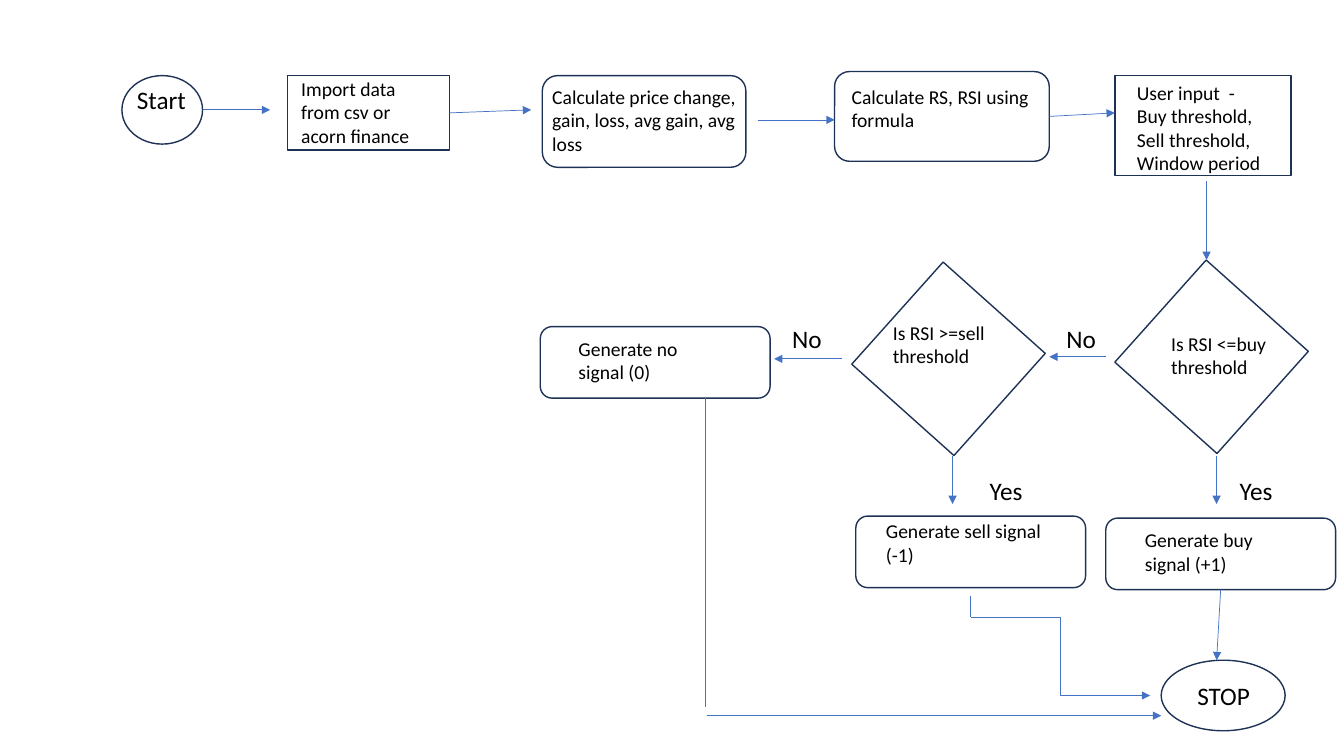
from dataclasses import dataclass

from lxml import etree
from pptx import Presentation
from pptx import util as u
from pptx.dml.color import RGBColor
from pptx.enum import shapes, text
from pptx.oxml import ns
from pptx.shapes.autoshape import Shape
from pptx.shapes.shapetree import SlideShapes

NAVY = RGBColor(0x1E, 0x32, 0x56)
BLUE = RGBColor(0x44, 0x72, 0xC4)
BLACK = RGBColor(0, 0, 0)
FONT = "Calibri"

OVAL = shapes.MSO_SHAPE.OVAL
RECT = shapes.MSO_SHAPE.RECTANGLE
ROUND = shapes.MSO_SHAPE.ROUNDED_RECTANGLE
LINE = shapes.MSO_CONNECTOR.STRAIGHT
ELBOW = shapes.MSO_CONNECTOR.ELBOW
BOTTOM, RIGHT = 2, 3


@dataclass
class Node:
    key: str
    kind: shapes.MSO_SHAPE
    left: float
    top: float
    width: float
    height: float
    turn: float = 0


@dataclass
class Label:
    words: str
    left: float
    top: float
    width: float
    height: float
    size: int = 14
    wrap: bool = True


@dataclass
class Link:
    x1: float
    y1: float
    x2: float
    y2: float
    head: bool = True
    kind: shapes.MSO_CONNECTOR = LINE
    source: str = ""
    side: int = 0


SIGNAL = (2.28, 0.71)
TEST = (1.36, 1.36, 41.8)

NODES = [
    Node("start", OVAL, 1.21, 0.75, 0.8, 0.68),
    Node("import", RECT, 2.85, 0.75, 1.61, 0.74),
    Node("change", ROUND, 5.38, 0.75, 2.02, 0.91),
    Node("rsi", ROUND, 8.28, 0.71, 2.13, 0.89),
    Node("input", RECT, 11.06, 0.75, 1.75, 0.99),
    Node("buy test", RECT, 11.34, 2.86, *TEST),
    Node("sell test", RECT, 8.73, 2.88, *TEST),
    Node("buy", ROUND, 10.97, 5.14, *SIGNAL),
    Node("sell", ROUND, 8.49, 5.12, *SIGNAL),
    Node("neither", ROUND, 5.36, 3.24, *SIGNAL),
    Node("stop", OVAL, 11.52, 6.55, 1.23, 0.7),
]

LABELS = [
    Label("Start", 1.26, 0.79, 0.83, 0.4, 18),
    Label("Import data from csv or acorn finance", 2.89, 0.71, 1.53, 0.81),
    Label("Calculate price change, gain, loss, avg gain, avg loss",
          5.38, 0.79, 2.02, 0.81),
    Label("Calculate RS, RSI using formula", 8.35, 0.79, 2.13, 0.57),
    Label("User input  -\nBuy threshold,\nSell threshold,\nWindow period",
          11.18, 0.75, 1.58, 1.04),
    Label("Is RSI <=buy threshold", 11.52, 3.24, 1.18, 0.57),
    Label("Is RSI >=sell threshold", 8.76, 3.13, 1.56, 0.57),
    Label("Generate buy signal (+1)", 11.26, 5.19, 1.67, 0.57),
    Label("Generate sell signal (-1)", 8.69, 5.1, 1.88, 0.81),
    Label("Generate no signal (0)", 5.64, 3.29, 1.67, 0.57),
    Label("No", 10.48, 3.16, 0.58, 0.4, 18),
    Label("No", 7.76, 3.16, 0.64, 0.4, 18),
    Label("Yes", 12.2, 4.67, 0.87, 0.4, 18),
    Label("Yes", 9.72, 4.67, 0.76, 0.4, 18),
    Label("STOP", 11.78, 6.7, 0.73, 0.4, 18, wrap=False),
]

LINKS = [
    Link(2.01, 1.09, 2.68, 1.09),
    Link(4.46, 1.12, 5.27, 1.09, source="import", side=RIGHT),
    Link(7.52, 1.19, 8.28, 1.19),
    Link(10.41, 1.15, 11.06, 1.12, source="rsi", side=RIGHT),
    Link(11.97, 1.8, 11.97, 2.58),
    Link(10.97, 3.54, 10.41, 3.54),
    Link(8.35, 3.56, 7.68, 3.56),
    Link(12.07, 4.52, 12.07, 5),
    Link(9.45, 4.52, 9.45, 5),
    Link(12.11, 5.85, 12.07, 6.55, source="buy", side=BOTTOM),
    Link(9.63, 5.91, 9.63, 6.12, head=False),
    Link(9.63, 6.12, 11.41, 6.9, kind=ELBOW),
    Link(7, 7.01, 7, 3.95, head=False),
    Link(7.01, 7.1, 11.52, 7.1),
]


def draw_node(tree: SlideShapes, node: Node) -> Shape:
    shape = tree.add_shape(node.kind, u.Inches(node.left), u.Inches(node.top),
                           u.Inches(node.width), u.Inches(node.height))
    shape.rotation = node.turn
    shape.shadow.inherit = False
    shape.fill.background()
    shape.line.color.rgb = NAVY
    shape.line.width = u.Pt(1)
    return shape


def draw_label(tree: SlideShapes, label: Label) -> None:
    box = tree.add_textbox(u.Inches(label.left), u.Inches(label.top),
                           u.Inches(label.width), u.Inches(label.height))
    frame = box.text_frame
    frame.text = label.words
    frame.word_wrap = label.wrap
    frame.auto_size = text.MSO_AUTO_SIZE.SHAPE_TO_FIT_TEXT
    for line in frame.paragraphs:
        for run in line.runs:
            run.font.name = FONT
            run.font.size = u.Pt(label.size)
            run.font.color.rgb = BLACK


def draw_link(tree: SlideShapes, link: Link, nodes: dict[str, Shape]) -> None:
    wire = tree.add_connector(link.kind, u.Inches(link.x1), u.Inches(link.y1),
                              u.Inches(link.x2), u.Inches(link.y2))
    if link.source:
        wire.begin_connect(nodes[link.source], link.side)
    wire.line.color.rgb = BLUE
    wire.line.width = u.Pt(0.5)
    if link.head:
        etree.SubElement(wire.get_or_add_ln(), ns.qn("a:tailEnd"), type="triangle")
    etree.SubElement(wire.element.spPr, ns.qn("a:effectLst"))


def main() -> None:
    deck = Presentation()
    deck.slide_width = u.Inches(40 / 3)
    deck.slide_height = u.Inches(7.5)
    tree = deck.slides.add_slide(deck.slide_layouts[6]).shapes
    nodes = {node.key: draw_node(tree, node) for node in NODES}
    for link in LINKS:
        draw_link(tree, link, nodes)
    for label in LABELS:
        draw_label(tree, label)
    deck.save("out.pptx")


if __name__ == "__main__":
    main()
